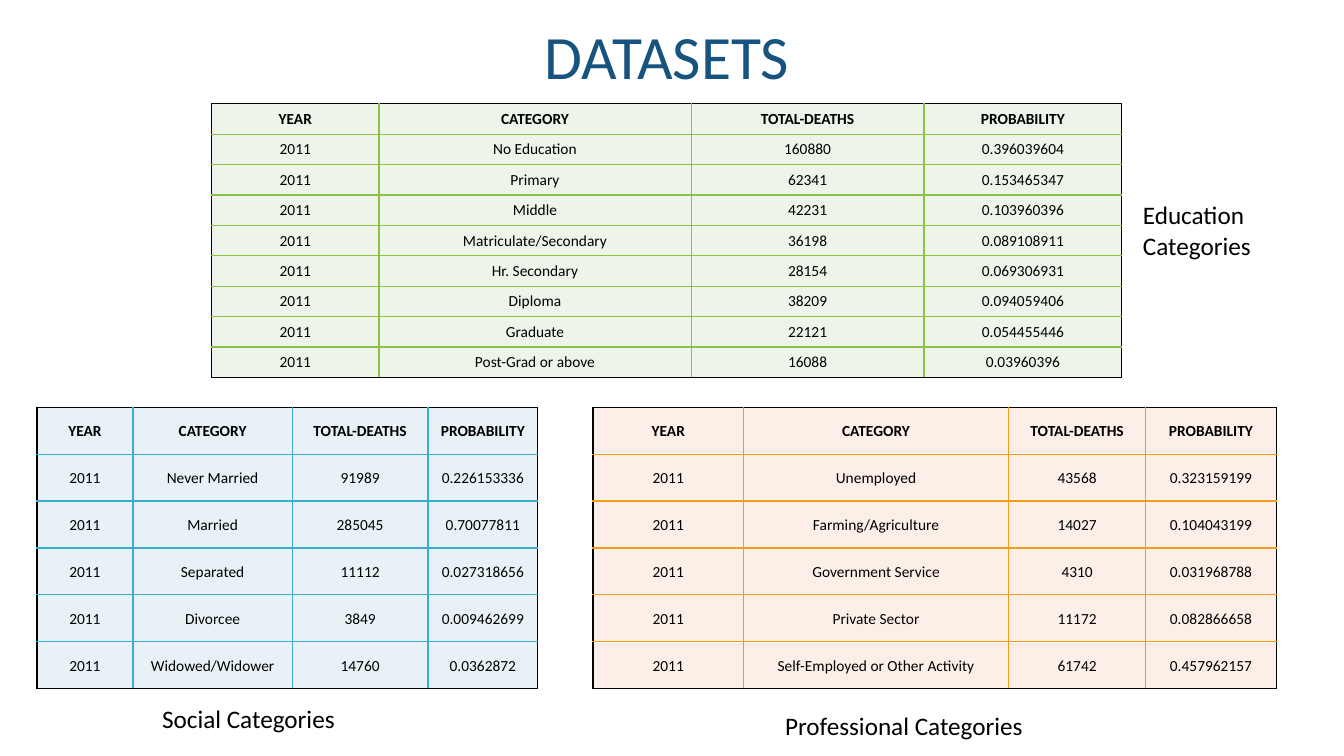
from lxml.etree import SubElement
from pptx import Presentation
from pptx.dml.color import RGBColor
from pptx.enum.text import MSO_ANCHOR as Anchor, MSO_AUTO_SIZE as AutoSize, PP_ALIGN as Align
from pptx.oxml.ns import qn
from pptx.util import Pt

BLACK = RGBColor(0x00, 0x00, 0x00)
NAVY = RGBColor(0x16, 0x53, 0x7F)
GREEN, PALE_GREEN = RGBColor(0x8B, 0xC1, 0x45), RGBColor(0xEE, 0xF4, 0xE9)
BLUE, PALE_BLUE = RGBColor(0x36, 0xAF, 0xCE), RGBColor(0xE8, 0xF2, 0xF6)
ORANGE, PALE_ORANGE = RGBColor(0xF1, 0x9D, 0x19), RGBColor(0xFC, 0xEF, 0xE8)

FONT = "Calibri"
YEAR = "2011"
HEADINGS = ("YEAR", "CATEGORY", "TOTAL-DEATHS", "PROBABILITY")
TIGHT_MARGINS = (0.7, 0.7, 0.7, 0)
DEFAULT_MARGINS = (7.2, 3.6, 7.2, 3.6)

EDUCATION = [
    ("No Education", "160880", "0.396039604"),
    ("Primary", "62341", "0.153465347"),
    ("Middle", "42231", "0.103960396"),
    ("Matriculate/Secondary", "36198", "0.089108911"),
    ("Hr. Secondary", "28154", "0.069306931"),
    ("Diploma", "38209", "0.094059406"),
    ("Graduate", "22121", "0.054455446"),
    ("Post-Grad or above", "16088", "0.03960396"),
]
SOCIAL = [
    ("Never Married", "91989", "0.226153336"),
    ("Married", "285045", "0.70077811"),
    ("Separated", "11112", "0.027318656"),
    ("Divorcee", "3849", "0.009462699"),
    ("Widowed/Widower", "14760", "0.0362872"),
]
PROFESSIONAL = [
    ("Unemployed", "43568", "0.323159199"),
    ("Farming/Agriculture", "14027", "0.104043199"),
    ("Government Service", "4310", "0.031968788"),
    ("Private Sector", "11172", "0.082866658"),
    ("Self-Employed or Other Activity", "61742", "0.457962157"),
]


def add_run(paragraph, text, size, color=BLACK, bold=False):
    """Append one formatted run to a paragraph."""
    run = paragraph.add_run()
    run.text = text
    run.font.name, run.font.size, run.font.bold = FONT, Pt(size), bold
    run.font.color.rgb = color


def add_label(slide, box, text, size=18, color=BLACK, align=Align.LEFT):
    """Place a wrapped text box in the given box."""
    frame = slide.shapes.add_textbox(*map(Pt, box)).text_frame
    frame.word_wrap = True
    frame.auto_size = AutoSize.SHAPE_TO_FIT_TEXT
    paragraph = frame.paragraphs[0]
    paragraph.alignment = align
    add_run(paragraph, text, size, color)


def set_borders(cell, colors):
    """Draw one-point left, right, top and bottom borders in the given colours."""
    properties = cell._tc.get_or_add_tcPr()
    for side, color in zip("LRTB", colors):
        line = SubElement(properties, qn(f"a:ln{side}"), w=str(Pt(1)))
        fill = SubElement(line, qn("a:solidFill"))
        SubElement(fill, qn("a:srgbClr"), val=str(color))


def fill_cell(cell, text, bold, background, margins):
    """Write centred text on a plain background."""
    cell.fill.solid()
    cell.fill.fore_color.rgb = background
    cell.vertical_anchor = Anchor.MIDDLE
    (cell.margin_left, cell.margin_top,
     cell.margin_right, cell.margin_bottom) = map(Pt, margins)
    paragraph = cell.text_frame.paragraphs[0]
    paragraph.alignment = Align.CENTER
    add_run(paragraph, text, 11, bold=bold)


def add_dataset(slide, box, widths, records, line, background, margins):
    """Place a dataset table with coloured inner lines and a black outline."""
    rows = [HEADINGS] + [(YEAR, *record) for record in records]
    last_row, last_column = len(rows) - 1, len(HEADINGS) - 1
    table = slide.shapes.add_table(len(rows), len(HEADINGS), *map(Pt, box)).table
    table.first_row = table.horz_banding = False
    for column, width in zip(table.columns, widths):
        column.width = Pt(width)
    for row in table.rows:
        row.height = Pt(box[3] / len(rows))
    for i, row in enumerate(rows):
        for j, text in enumerate(row):
            cell = table.cell(i, j)
            outer = (j == 0, j == last_column, i == 0, i == last_row)
            set_borders(cell, [BLACK if edge else line for edge in outer])
            fill_cell(cell, text, i == 0, background, margins)


def build_datasets_slide(slide):
    """Place the title, the three datasets and their labels."""
    add_label(slide, (319.7, 9.4, 313.2, 60.5), "DATASETS", 44, NAVY, Align.CENTER)
    add_dataset(slide, (423.6, 290.9, 488.2, 201.2), (107.5, 189.4, 97.9, 93.4),
                PROFESSIONAL, ORANGE, PALE_ORANGE, TIGHT_MARGINS)
    add_dataset(slide, (26.4, 290.9, 357.8, 201.2), (68.6, 113.8, 97, 78.4),
                SOCIAL, BLUE, PALE_BLUE, TIGHT_MARGINS)
    add_dataset(slide, (151.2, 74.2, 650.2, 195.5), (119.5, 223, 166.4, 141.3),
                EDUCATION, GREEN, PALE_GREEN, DEFAULT_MARGINS)
    add_label(slide, (809.3, 139, 100.8, 51.1), "Education Categories")
    add_label(slide, (108.7, 499, 177.8, 28.8), "Social Categories")
    add_label(slide, (553.7, 504, 202.3, 28.8), "Professional Categories")


def main():
    """Build and save the presentation."""
    presentation = Presentation()
    presentation.slide_width, presentation.slide_height = Pt(960), Pt(540)
    build_datasets_slide(presentation.slides.add_slide(presentation.slide_layouts[6]))
    presentation.save("out.pptx")


if __name__ == "__main__":
    main()
